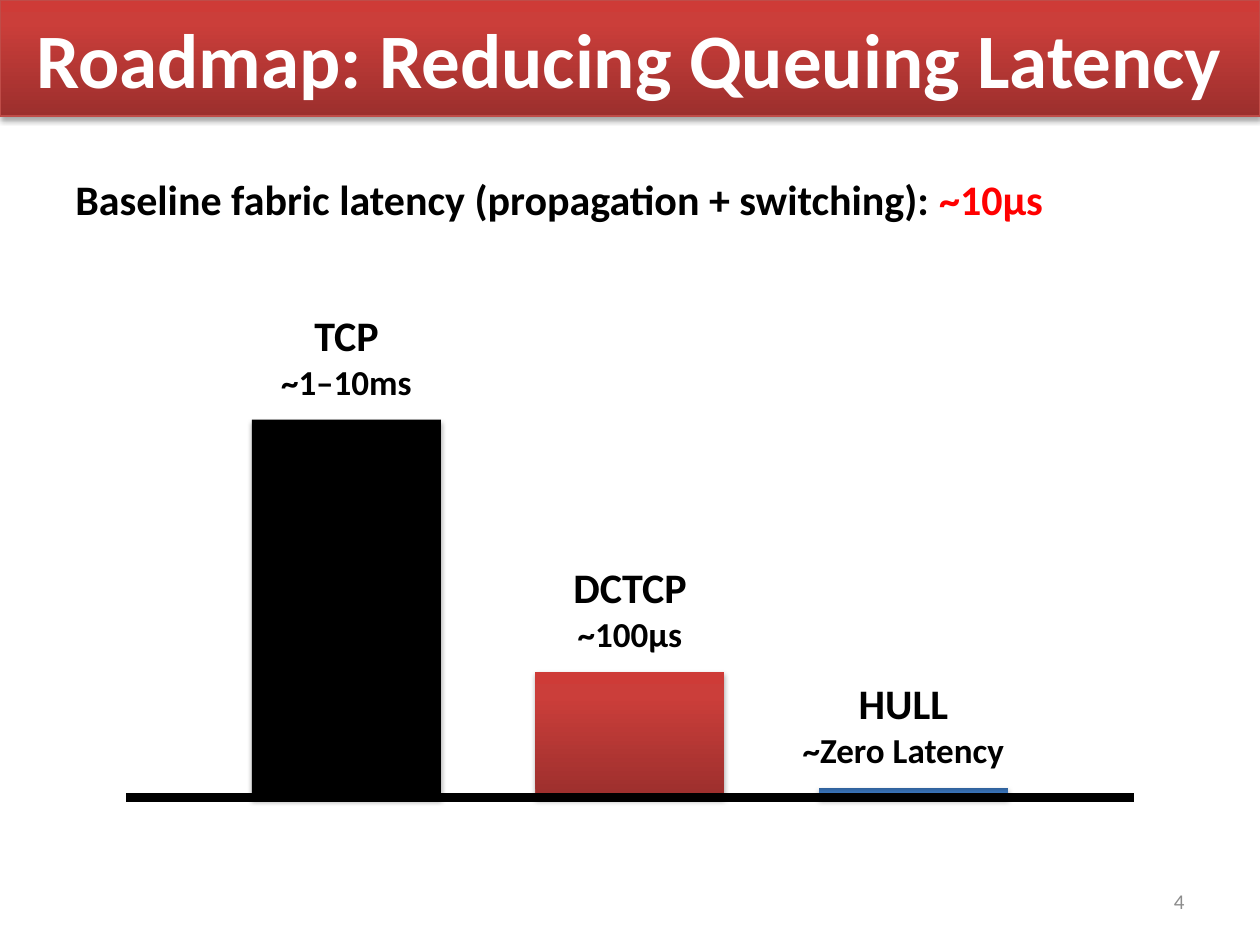
import pptx
import pptx.util
import pptx.dml.color
import pptx.enum.shapes
import pptx.enum.text
import pptx.oxml.ns
import lxml.etree

# Content
TITLE = "Roadmap: Reducing Queuing Latency"
BASELINE = [("Baseline fabric latency (propagation + switching): ", "ink"),
            ("~10μs", "accent")]
PAGE_NUMBER = "4"
# name, latency, bar height, fill, gradient angle, label shift
BARS = [
    ("TCP", "~1–10ms", 3, "ink", None, 0),
    ("DCTCP", "~100μs", 1, "red", 90, 0),
    ("HULL", "~Zero Latency", 0.08, "blue", 270, -0.08),
]

THEME = {
    "font": "Calibri",
    "ink": "000000", "white": "FFFFFF", "accent": "FF0000",
    "muted": "8C8C8C", "title_line": "BF4C48",
    "red": [(0, "9C2F2D"), (80, "CB3E3A"), (100, "CE3B37")],
    "blue": [(0, "2F5F99"), (80, "3D7CC7"), (100, "3A7CCB")],
    "title_size": 44, "heading_size": 24, "detail_size": 20, "page_size": 12,
}

# Layout in inches
WIDTH, HEIGHT = 10, 7.5
TITLE_HEIGHT = 0.92
AXIS_Y, AXIS_MARGIN = 6.33, 1
BAR_WIDTH, BAR_PITCH = 1.5, 2.25
LABEL_WIDTH, LABEL_HEIGHT, LABEL_GAP = 2.5, 0.84, 0.08

ALIGN = pptx.enum.text.PP_ALIGN
ANCHOR = pptx.enum.text.MSO_ANCHOR
inches = pptx.util.Inches
qn = pptx.oxml.ns.qn


def color(name):
    return pptx.dml.color.RGBColor.from_string(THEME[name])


def add_color(parent, value):
    return lxml.etree.SubElement(parent, qn("a:srgbClr"), val=value)


def add_block(slide, left, top, width, height, fill, angle=None):
    """Add a rectangle with a solid or gradient fill and a soft shadow."""
    shape = slide.shapes.add_shape(
        pptx.enum.shapes.MSO_SHAPE.RECTANGLE,
        *map(inches, (left, top, width, height)))
    shape.line.fill.background()
    if angle is None:
        shape.fill.solid()
        shape.fill.fore_color.rgb = color(fill)
    else:
        shape.fill.gradient()
        shape.fill.gradient_angle = angle
        stops = shape.element.spPr.find(".//" + qn("a:gsLst"))
        for stop in list(stops):
            stops.remove(stop)
        for position, value in THEME[fill]:
            stop = lxml.etree.SubElement(stops, qn("a:gs"), pos=str(position * 1000))
            add_color(stop, value)
    shape.shadow.inherit = False
    effects = shape.element.spPr.find(qn("a:effectLst"))
    shadow = lxml.etree.SubElement(
        effects, qn("a:outerShdw"), blurRad=str(pptx.util.Pt(3.1)),
        dist=str(pptx.util.Pt(1.8)), dir="5400000", rotWithShape="0")
    lxml.etree.SubElement(add_color(shadow, THEME["ink"]), qn("a:alpha"), val="35000")
    return shape


def add_text(slide, left, top, width, height, lines, align=ALIGN.LEFT,
             anchor=ANCHOR.TOP, bold=True):
    """Add a text box; each line is (size, [(text, color name), ...])."""
    box = slide.shapes.add_textbox(*map(inches, (left, top, width, height)))
    frame = box.text_frame
    frame.word_wrap = True
    frame.vertical_anchor = anchor
    for index, (size, runs) in enumerate(lines):
        paragraph = frame.add_paragraph() if index else frame.paragraphs[0]
        paragraph.alignment = align
        paragraph.font.name = THEME["font"]
        paragraph.font.size = pptx.util.Pt(THEME[size])
        paragraph.font.bold = bold
        for text, name in runs:
            run = paragraph.add_run()
            run.text = text
            run.font.color.rgb = color(name)


def main():
    presentation = pptx.Presentation()
    presentation.slide_width = inches(WIDTH)
    presentation.slide_height = inches(HEIGHT)
    slide = presentation.slides.add_slide(presentation.slide_layouts[6])

    # Title band
    band = add_block(slide, 0, 0, WIDTH, TITLE_HEIGHT, "red", 90)
    band.line.color.rgb = color("title_line")
    band.line.width = pptx.util.Pt(0.75)
    add_text(slide, 0, 0, WIDTH, TITLE_HEIGHT,
             [("title_size", [(TITLE, "white")])], ALIGN.CENTER, ANCHOR.MIDDLE)

    # Baseline statement
    add_text(slide, 0.5, 1.33, 9.33, 0.5, [("heading_size", BASELINE)])

    # Bars and their labels, spread around the slide's centre
    for index, (name, latency, height, fill, angle, shift) in enumerate(BARS):
        center = WIDTH / 2 + (index - (len(BARS) - 1) / 2) * BAR_PITCH
        top = AXIS_Y - height
        add_block(slide, center - BAR_WIDTH / 2, top, BAR_WIDTH, height, fill, angle)
        add_text(slide, center + shift - LABEL_WIDTH / 2,
                 top - LABEL_GAP - LABEL_HEIGHT, LABEL_WIDTH, LABEL_HEIGHT,
                 [("heading_size", [(name, "ink")]),
                  ("detail_size", [(latency, "ink")])], ALIGN.CENTER)

    # Axis
    axis = slide.shapes.add_connector(
        pptx.enum.shapes.MSO_CONNECTOR.STRAIGHT,
        *map(inches, (AXIS_MARGIN, AXIS_Y, WIDTH - AXIS_MARGIN, AXIS_Y)))
    axis.line.color.rgb = color("ink")
    axis.line.width = pptx.util.Pt(5)
    lxml.etree.SubElement(axis.element.spPr, qn("a:effectLst"))

    # Page number
    add_text(slide, 7.17, 6.95, 2.33, 0.4, [("page_size", [(PAGE_NUMBER, "muted")])],
             ALIGN.RIGHT, ANCHOR.MIDDLE, bold=False)

    presentation.save("out.pptx")


if __name__ == "__main__":
    main()
